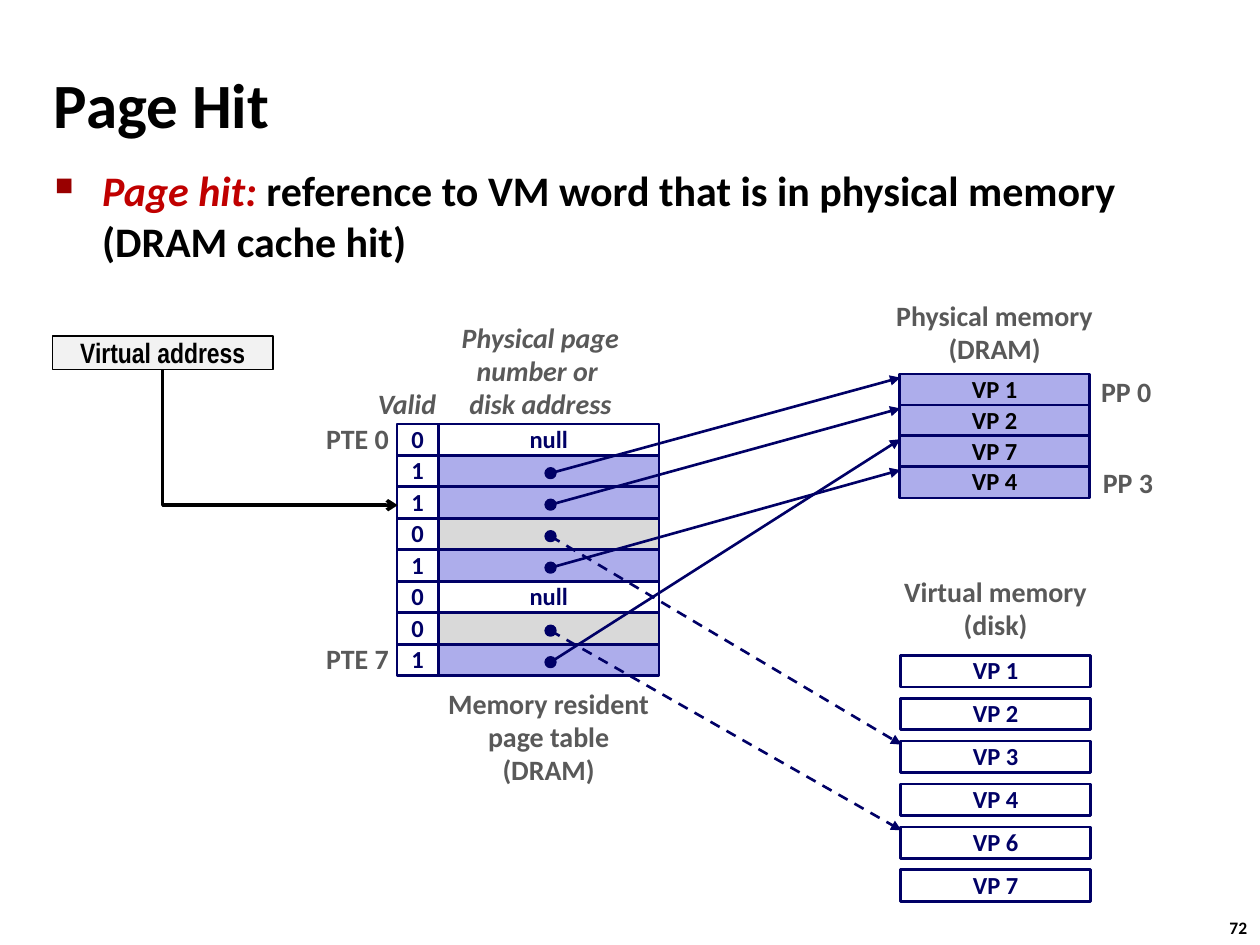
from lxml import etree
from pptx import Presentation
from pptx.dml.color import RGBColor
from pptx.enum.dml import MSO_LINE_DASH_STYLE as Dash
from pptx.enum.shapes import MSO_CONNECTOR as Link, MSO_SHAPE as Shape
from pptx.enum.text import MSO_ANCHOR as Anchor, PP_ALIGN as Align
from pptx.oxml.ns import qn
from pptx.util import Pt

NAVY = RGBColor(0x00, 0x00, 0x66)
LILAC = RGBColor(0xAD, 0xAD, 0xEB)
SILVER = RGBColor(0xD9, 0xD9, 0xD9)
PALE = RGBColor(0xF2, 0xF2, 0xF2)
GREY = RGBColor(0x59, 0x59, 0x59)
WHITE = RGBColor(0xFF, 0xFF, 0xFF)
BLACK = RGBColor(0x00, 0x00, 0x00)
RED = RGBColor(0xC0, 0x00, 0x00)
BULLET_RED = "990000"

ROW = 18  # height of every table entry and memory page
LABEL = {"size": Pt(16), "color": GREY}
CELL = {"size": Pt(14), "color": NAVY}


def add_span(para, text, color=BLACK, **values):
    span = para.add_run()
    span.text = text
    span.font.color.rgb = color
    for name, value in ({"name": "Calibri", "bold": True} | values).items():
        setattr(span.font, name, value)


def fill_text(shape, lines, style, align=Align.CENTER, anchor=Anchor.MIDDLE,
              wrap=False, spacing=0.98):
    frame = shape.text_frame
    frame.word_wrap = wrap
    frame.vertical_anchor = anchor
    for index, line in enumerate(lines):
        para = frame.add_paragraph() if index else frame.paragraphs[0]
        para.alignment = align
        para.line_spacing = spacing
        add_span(para, line, **style)


def add_label(page, box, lines, style=LABEL, **layout):
    fill_text(page.shapes.add_textbox(*map(Pt, box)), lines, style, **layout)


def add_block(page, box, fill, line=NAVY, weight=1.5, kind=Shape.RECTANGLE):
    block = page.shapes.add_shape(kind, *map(Pt, box))
    block.shadow.inherit = False
    block.fill.solid()
    block.fill.fore_color.rgb = fill
    block.line.color.rgb = line
    block.line.width = Pt(weight)
    return block


def add_arrow(page, start, end, color=NAVY, weight=1.5, head="triangle",
              kind=Link.STRAIGHT, dashed=False):
    arrow = page.shapes.add_connector(kind, *map(Pt, (*start, *end)))
    arrow.line.color.rgb = color
    arrow.line.width = Pt(weight)
    if dashed:
        arrow.line.dash_style = Dash.DASH
    etree.SubElement(arrow.line._get_or_add_ln(), qn("a:tailEnd"), type=head)
    etree.SubElement(arrow._element.spPr, qn("a:effectLst"))
    return arrow


def add_corner_arrow(page, start, end):
    """Runs down from start, then right to end."""
    (x1, y1), (x2, y2) = start, end
    mid_x, mid_y = (x1 + x2) / 2, (y1 + y2) / 2
    half_w, half_h = (y2 - y1) / 2, (x2 - x1) / 2  # swapped by the quarter turn
    arrow = add_arrow(page, (mid_x + half_w, mid_y - half_h),
                      (mid_x - half_w, mid_y + half_h),
                      BLACK, 2, "arrow", Link.ELBOW)
    properties = arrow._element.spPr
    properties.find(qn("a:xfrm")).set("rot", "16200000")
    properties.find(qn("a:prstGeom")).set("prst", "bentConnector2")


def add_heading(page, left, top, width):
    add_label(page, (left, top, width, 62), ["Page Hit"], {"size": Pt(36)},
              align=Align.LEFT, wrap=True, spacing=1)

    # Bulleted definition
    box = page.shapes.add_textbox(*map(Pt, (left + 0.7, top + 62.5, width + 2, 48)))
    box.text_frame.word_wrap = True
    para = box.text_frame.paragraphs[0]
    layout = para._p.get_or_add_pPr()
    layout.set("marL", str(Pt(27)))
    layout.set("indent", str(Pt(-27)))
    color = etree.SubElement(layout, qn("a:buClr"))
    etree.SubElement(color, qn("a:srgbClr"), val=BULLET_RED)
    etree.SubElement(layout, qn("a:buSzPct"), val="60000")
    etree.SubElement(layout, qn("a:buChar"), char="■")
    add_span(para, "Page hit: ", RED, size=Pt(24), italic=True)
    add_span(para, "reference to VM word that is in physical memory (DRAM cache hit)",
             size=Pt(24))


def add_page_table(page, left, top, entries):
    """Draws the table; returns the dot centres by row."""
    valid_width, entry_width = 23.8, 126
    entry_left = left + valid_width
    dots = {}
    for row, (valid, content) in enumerate(entries):
        y = top + row * ROW
        fill = WHITE if content else LILAC if valid else SILVER
        flag = add_block(page, (left, y, valid_width, ROW), WHITE)
        fill_text(flag, [str(valid)], CELL)
        entry = add_block(page, (entry_left, y, entry_width, ROW), fill)
        if content:
            fill_text(entry, [content], CELL)
        else:
            dots[row] = (entry_left + 64, y + ROW / 2 + 1.2)
    for x, y in dots.values():
        add_block(page, (x - 3, y - 3, 6, 6), NAVY, weight=1, kind=Shape.OVAL)

    # Column, row and table labels
    slanted = LABEL | {"italic": True}
    add_label(page, (left - 18, top - 24, 54, 26.6), ["Valid"], slanted,
              align=Align.LEFT, anchor=Anchor.TOP, wrap=True)
    add_label(page, (left + 29.5, top - 62, 105, 64),
              ["Physical page", "number or ", "disk address"], slanted)
    for row in (0, len(entries) - 1):
        add_label(page, (left - 48, top + row * ROW - 4.5, 50.5, 26.6),
                  [f"PTE {row}"], align=Align.RIGHT)
    add_label(page, (left + 20.2, top + len(entries) * ROW + 3.5, 133, 64),
              ["Memory resident", "page table", "(DRAM)"], anchor=Anchor.TOP)
    return dots


def add_memory(page, left, top, step, title, gap, names, fill, color):
    """Draws a stack of pages; returns where arrows enter each page."""
    width, overhang = 108.7, 10
    add_label(page, (left - overhang, top - gap, width + 2 * overhang, 45), title,
              anchor=Anchor.TOP)
    entrances = {}
    for index, name in enumerate(names):
        y = top + index * step
        block = add_block(page, (left, y, width, ROW), fill)
        fill_text(block, [name], CELL | {"color": color})
        entrances[name] = (left + 0.5, y + 2)
    return entrances


def add_virtual_address(page, left, top, target):
    width, height = 126, 19.2
    block = add_block(page, (left, top, width, height), PALE, BLACK, 1)
    fill_text(block, ["Virtual address"], {"size": Pt(16), "name": "Arial Narrow"},
              wrap=True, spacing=1)
    add_corner_arrow(page, (left + width / 2, top + height), target)


def build_page(page):
    add_heading(page, 23.6, 28, 652)

    # Page table and the two memories
    table_left, table_top = 226.8, 242.2
    entries = [(0, "null"), (1, ""), (1, ""), (0, ""),
               (1, ""), (0, "null"), (0, ""), (1, "")]
    dots = add_page_table(page, table_left, table_top, entries)
    dram = add_memory(page, 514, 213.8, 17.6, ["Physical memory", "(DRAM)"], 46,
                      ["VP 1", "VP 2", "VP 7", "VP 4"], LILAC, BLACK)
    for left, top, name in ((622, 211, "PP 0"), (623, 263, "PP 3")):
        add_label(page, (left, top, 43.2, 26.6), [name])
    disk = add_memory(page, 514.6, 374.5, 24.5, ["Virtual memory", "(disk)"], 49,
                      ["VP 1", "VP 2", "VP 3", "VP 4", "VP 6", "VP 7"], WHITE, NAVY)

    # Arrows from table entries to pages
    for row, name in {1: "VP 1", 2: "VP 2", 4: "VP 4", 7: "VP 7"}.items():
        add_arrow(page, dots[row], dram[name])
    for row, name in {3: "VP 3", 6: "VP 6"}.items():
        add_arrow(page, dots[row], disk[name], dashed=True)

    # Address that hits the third entry
    add_virtual_address(page, 30, 192, (table_left + 0.5, table_top + 2.5 * ROW + 1.5))

    # Page number
    add_label(page, (695.5, 520.5, 26.6, 19.4), ["72"], {"size": Pt(10)},
              align=Align.LEFT, anchor=Anchor.TOP, spacing=1)


def main():
    deck = Presentation()
    deck.slide_width, deck.slide_height = Pt(720), Pt(540)
    build_page(deck.slides.add_slide(deck.slide_layouts[6]))
    deck.save("out.pptx")


if __name__ == "__main__":
    main()
